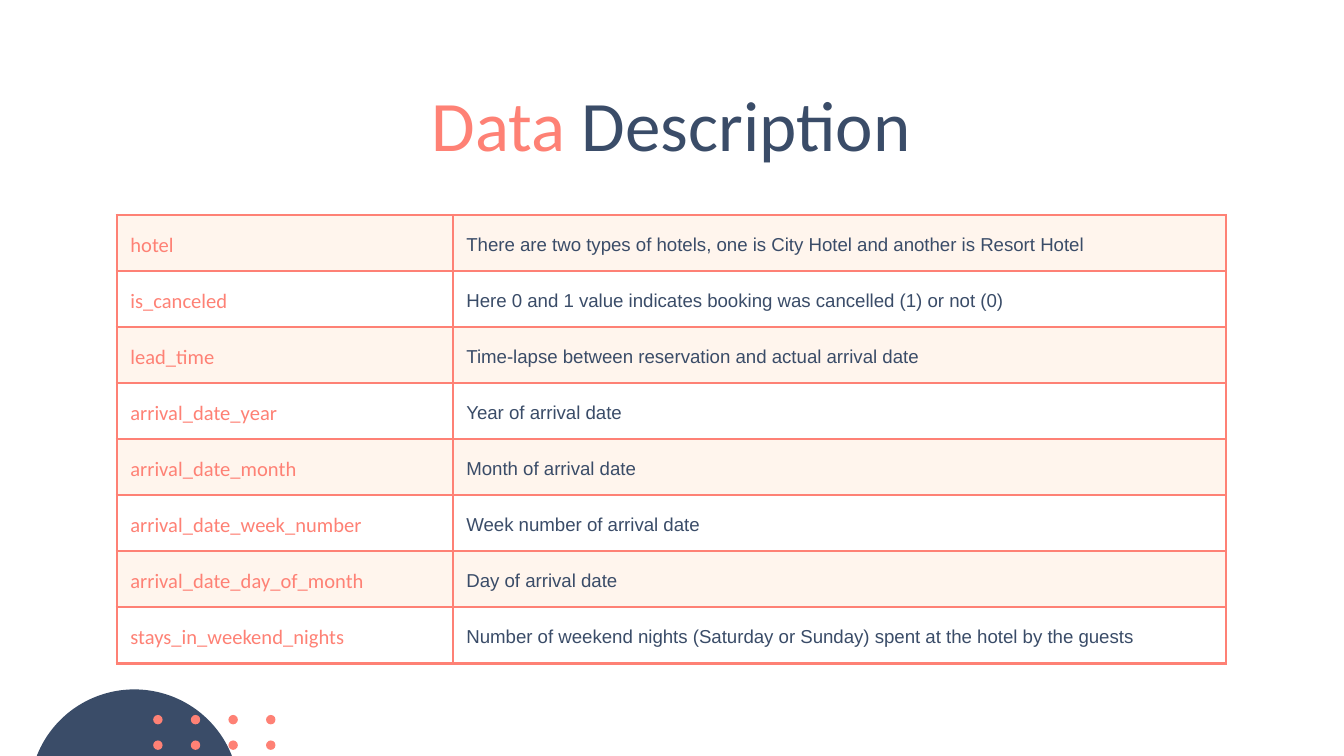
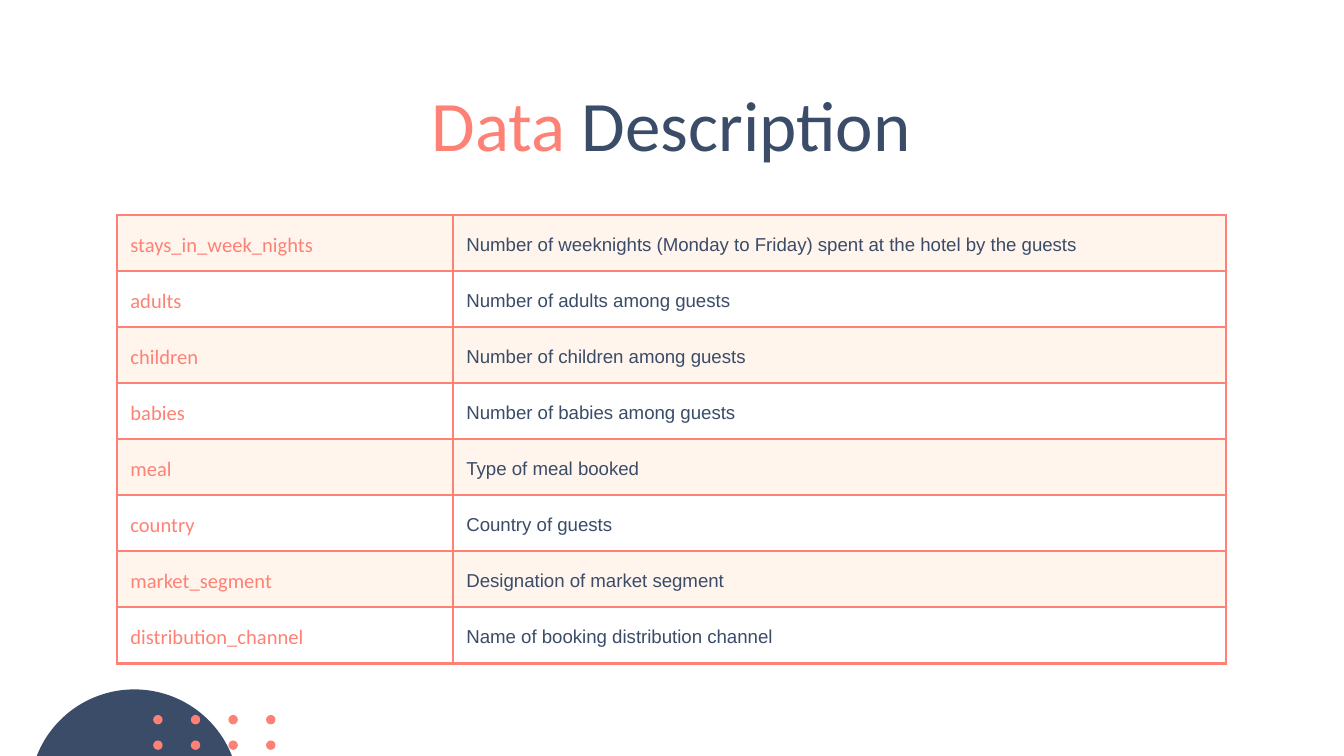
"""Build two slides that describe the columns of a hotel booking data set."""
from dataclasses import dataclass

from lxml import etree
from pptx import Presentation
from pptx.dml.color import RGBColor
from pptx.enum.shapes import MSO_SHAPE
from pptx.enum.text import MSO_ANCHOR, MSO_AUTO_SIZE, PP_ALIGN
from pptx.oxml.ns import qn
from pptx.util import Inches, Pt

OVAL = MSO_SHAPE.OVAL
TOP, MIDDLE = MSO_ANCHOR.TOP, MSO_ANCHOR.MIDDLE
CENTER = PP_ALIGN.CENTER
NO_FIT = MSO_AUTO_SIZE.NONE


@dataclass(frozen=True)
class Theme:
    coral: str = "FE8175"
    navy: str = "3A4C68"
    cream: str = "FFF5ED"
    head: str = "Calibri"
    body: str = "Arial"
    title: int = 38
    name: int = 11
    note: int = 10
    rule: float = 1.5


THEME = Theme()

TITLE = [("Data ", THEME.coral), ("Description", THEME.navy)]

PAGES = [
    [
        ("hotel", "There are two types of hotels, one is City Hotel and another is Resort Hotel"),
        ("is_canceled", "Here 0 and 1 value indicates booking was cancelled (1) or not (0)"),
        ("lead_time", "Time-lapse between reservation and actual arrival date"),
        ("arrival_date_year", "Year of arrival date"),
        ("arrival_date_month", "Month of arrival date"),
        ("arrival_date_week_number", "Week number of arrival date"),
        ("arrival_date_day_of_month", "Day of arrival date"),
        ("stays_in_weekend_nights",
         "Number of weekend nights (Saturday or Sunday) spent at the hotel by the guests"),
    ],
    [
        ("stays_in_week_nights",
         "Number of weeknights (Monday to Friday) spent at the hotel by the guests"),
        ("adults", "Number of adults among guests"),
        ("children", "Number of children among guests"),
        ("babies", "Number of babies among guests"),
        ("meal", "Type of meal booked"),
        ("country", "Country of guests"),
        ("market_segment", "Designation of market segment"),
        ("distribution_channel", "Name of booking distribution channel"),
    ],
]

WIDTHS = (2.5, 5.75)
ROW = 0.39
STYLES = (
    (THEME.head, THEME.name, THEME.coral, 0),
    (THEME.body, THEME.note, THEME.navy, 16),
)


def style(font, face, size, color):
    font.name, font.size = face, Pt(size)
    font.color.rgb = RGBColor.from_string(color)


def pad(box):
    box.margin_left = box.margin_right = Inches(0.1)
    box.margin_top = box.margin_bottom = Inches(0.1)


def add_disc(shapes, left, top, size, color):
    disc = shapes.add_shape(OVAL, Inches(left), Inches(top), Inches(size), Inches(size))
    disc.shadow.inherit = False
    disc.fill.solid()
    disc.fill.fore_color.rgb = RGBColor.from_string(color)
    disc.line.fill.background()


def add_decor(slide):
    add_disc(slide.shapes, 0.22, 5.13, 1.56, THEME.navy)
    dots = slide.shapes.add_group_shape().shapes
    for row in range(2):
        for col in range(4):
            add_disc(dots, 1.14 + 0.28 * col, 5.32 + 0.19 * row, 0.07, THEME.coral)


def set_title(slide):
    title = slide.shapes.title
    title.left, title.top = Inches(0.93), Inches(0.5)
    title.width, title.height = Inches(8.13), Inches(0.63)
    frame = title.text_frame
    pad(frame)
    frame.word_wrap, frame.auto_size = True, NO_FIT
    frame.vertical_anchor = TOP
    para = frame.paragraphs[0]
    para.alignment, para.line_spacing = CENTER, 1.0
    for text, color in TITLE:
        run = para.add_run()
        run.text = text
        style(run.font, THEME.head, THEME.title, color)


def set_border(cell):
    props = cell._tc.get_or_add_tcPr()
    for side in ("a:lnL", "a:lnR", "a:lnT", "a:lnB"):
        line = etree.SubElement(props, qn(side), w=str(Pt(THEME.rule)))
        fill = etree.SubElement(line, qn("a:solidFill"))
        etree.SubElement(fill, qn("a:srgbClr"), val=THEME.coral)


def fill_cell(cell, text, look, shaded):
    face, size, color, after = look
    set_border(cell)
    pad(cell)
    cell.vertical_anchor = MIDDLE
    if shaded:
        cell.fill.solid()
        cell.fill.fore_color.rgb = RGBColor.from_string(THEME.cream)
    else:
        cell.fill.background()
    cell.text = text
    para = cell.text_frame.paragraphs[0]
    para.line_spacing, para.space_after = 1.15, Pt(after)
    style(para.font, face, size, color)


def add_grid(slide, rows):
    grid = slide.shapes.add_table(
        len(rows), len(WIDTHS), Inches(0.87), Inches(1.6),
        Inches(sum(WIDTHS)), Inches(ROW * len(rows))).table
    grid.first_row = grid.horz_banding = False
    for col, width in zip(grid.columns, WIDTHS):
        col.width = Inches(width)
    for i, texts in enumerate(rows):
        for j, text in enumerate(texts):
            fill_cell(grid.cell(i, j), text, STYLES[j], i % 2 == 0)


def main():
    deck = Presentation()
    deck.slide_width = Inches(10)
    deck.slide_height = deck.slide_width * 9 // 16
    for rows in PAGES:
        slide = deck.slides.add_slide(deck.slide_layouts[5])
        add_decor(slide)
        set_title(slide)
        add_grid(slide, rows)
    deck.save("out.pptx")


if __name__ == "__main__":
    main()
